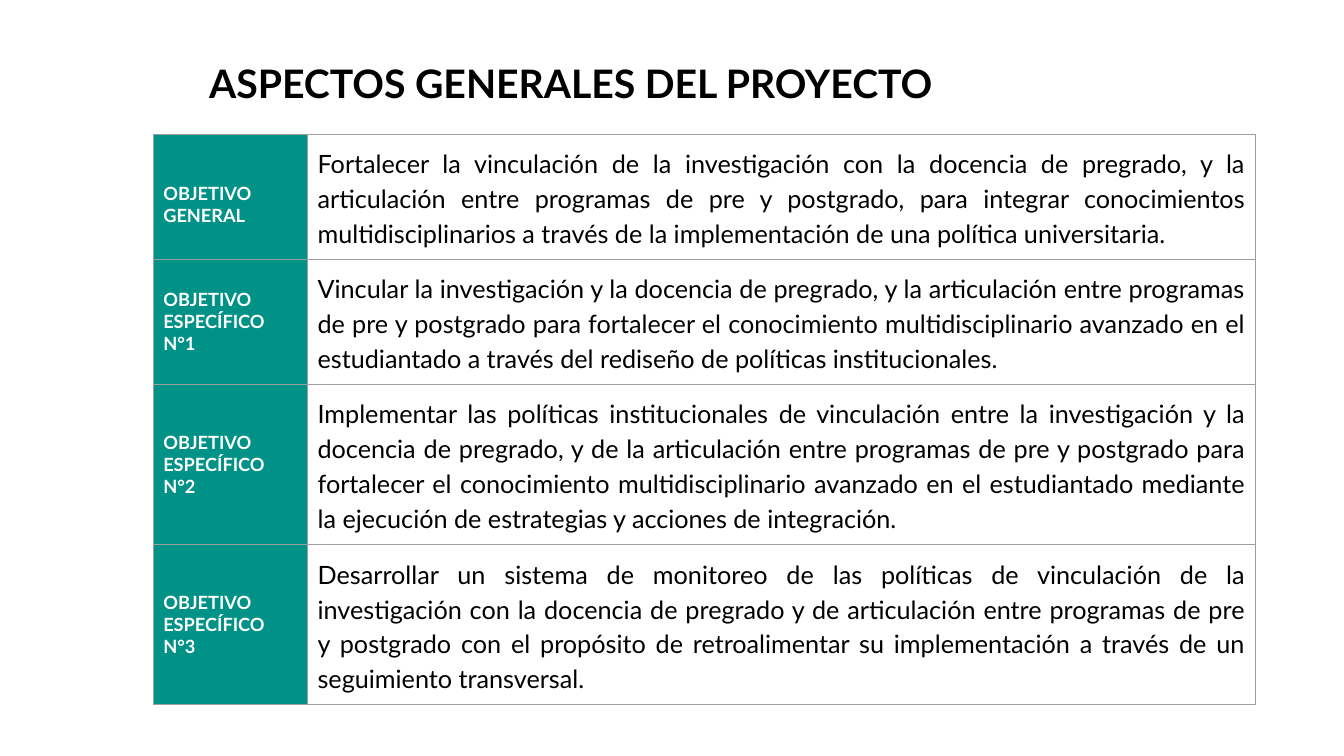
from dataclasses import dataclass

from lxml import etree
from pptx import Presentation
from pptx.dml.color import RGBColor
from pptx.enum.text import MSO_ANCHOR, PP_ALIGN
from pptx.oxml.ns import qn
from pptx.table import _Cell
from pptx.text.text import _Paragraph
from pptx.util import Inches, Pt

TEAL = RGBColor(0x00, 0x91, 0x87)
WHITE = RGBColor(0xFF, 0xFF, 0xFF)
BLACK = RGBColor(0x00, 0x00, 0x00)
GRAY = RGBColor(0x9E, 0x9E, 0x9E)
MIDDLE = MSO_ANCHOR.MIDDLE
CENTER = PP_ALIGN.CENTER
JUSTIFY = PP_ALIGN.JUSTIFY
FONT_NAME = "Lato"
CELL_MARGIN = 0.1


@dataclass
class Objective:
    label: str
    description: str
    height: float
    label_top_margin: float = CELL_MARGIN


OBJECTIVES = [
    Objective(
        "OBJETIVO GENERAL",
        "Fortalecer la vinculación de la investigación con la docencia de pregrado, "
        "y la articulación entre programas de pre y postgrado, para integrar "
        "conocimientos multidisciplinarios a través de la implementación de una "
        "política universitaria.",
        1.24,
        label_top_margin=0.25,
    ),
    Objective(
        "OBJETIVO ESPECÍFICO N°1",
        "Vincular la investigación y la docencia de pregrado, y la articulación entre "
        "programas de pre y postgrado para fortalecer el conocimiento "
        "multidisciplinario avanzado en el estudiantado a través del rediseño de "
        "políticas institucionales.",
        1.24,
    ),
    Objective(
        "OBJETIVO ESPECÍFICO N°2",
        "Implementar las políticas institucionales de vinculación entre la "
        "investigación y la docencia de pregrado, y de la articulación entre "
        "programas de pre y postgrado para fortalecer el conocimiento "
        "multidisciplinario avanzado en el estudiantado mediante la ejecución de "
        "estrategias y acciones de integración.",
        1.59,
    ),
    Objective(
        "OBJETIVO ESPECÍFICO N°3",
        "Desarrollar un sistema de monitoreo de las políticas de vinculación de la "
        "investigación con la docencia de pregrado y de articulación entre programas "
        "de pre y postgrado con el propósito de retroalimentar su implementación a "
        "través de un seguimiento transversal.",
        1.59,
    ),
]
COLUMN_WIDTHS = [1.53, 9.4]


def format_paragraph(paragraph: _Paragraph, size: float, color: RGBColor, bold: bool,
                     alignment: PP_ALIGN, line_spacing: float) -> None:
    paragraph.alignment = alignment
    paragraph.line_spacing = line_spacing
    paragraph.space_before = Pt(0)
    for run in paragraph.runs:
        run.font.name = FONT_NAME
        run.font.size = Pt(size)
        run.font.bold = bold
        run.font.color.rgb = color


def add_borders(cell: _Cell) -> None:
    properties = cell._tc.get_or_add_tcPr()
    for side in ("a:lnL", "a:lnR", "a:lnT", "a:lnB"):
        line = etree.SubElement(properties, qn(side), w=str(Pt(0.83)))
        fill = etree.SubElement(line, qn("a:solidFill"))
        etree.SubElement(fill, qn("a:srgbClr"), val=str(GRAY))


def fill_cell(cell: _Cell, text: str, background: RGBColor, color: RGBColor, size: float,
              bold: bool, line_spacing: float, top_margin: float = CELL_MARGIN) -> None:
    add_borders(cell)
    cell.fill.solid()
    cell.fill.fore_color.rgb = background
    cell.vertical_anchor = MIDDLE
    cell.margin_left = cell.margin_right = cell.margin_bottom = Inches(CELL_MARGIN)
    cell.margin_top = Inches(top_margin)
    cell.text_frame.text = text
    format_paragraph(cell.text_frame.paragraphs[0], size, color, bold, JUSTIFY, line_spacing)


def main() -> None:
    presentation = Presentation()
    presentation.slide_width = Inches(13.33)
    presentation.slide_height = Inches(7.5)
    slide = presentation.slides.add_slide(presentation.slide_layouts[5])

    # Title
    title = slide.shapes.title
    title.left, title.top = Inches(1.52), Inches(0.55)
    title.width, title.height = Inches(8.28), Inches(0.6)
    title.text_frame.text = "ASPECTOS GENERALES DEL PROYECTO"
    title.text_frame.vertical_anchor = MIDDLE
    format_paragraph(title.text_frame.paragraphs[0], 28, BLACK, True, CENTER, 0.9)

    # Objectives table
    total_height = sum(objective.height for objective in OBJECTIVES)
    table = slide.shapes.add_table(
        len(OBJECTIVES), len(COLUMN_WIDTHS), Inches(1.52), Inches(1.33),
        Inches(sum(COLUMN_WIDTHS)), Inches(total_height)).table
    table.first_row = False
    table.horz_banding = False
    for column, width in zip(table.columns, COLUMN_WIDTHS):
        column.width = Inches(width)
    for row, objective in zip(table.rows, OBJECTIVES):
        row.height = Inches(objective.height)
        label_cell, description_cell = row.cells
        fill_cell(label_cell, objective.label, TEAL, WHITE, 13, True, 1.0,
                  objective.label_top_margin)
        fill_cell(description_cell, objective.description, WHITE, BLACK, 18, False, 1.15)

    presentation.save("out.pptx")


if __name__ == "__main__":
    main()
